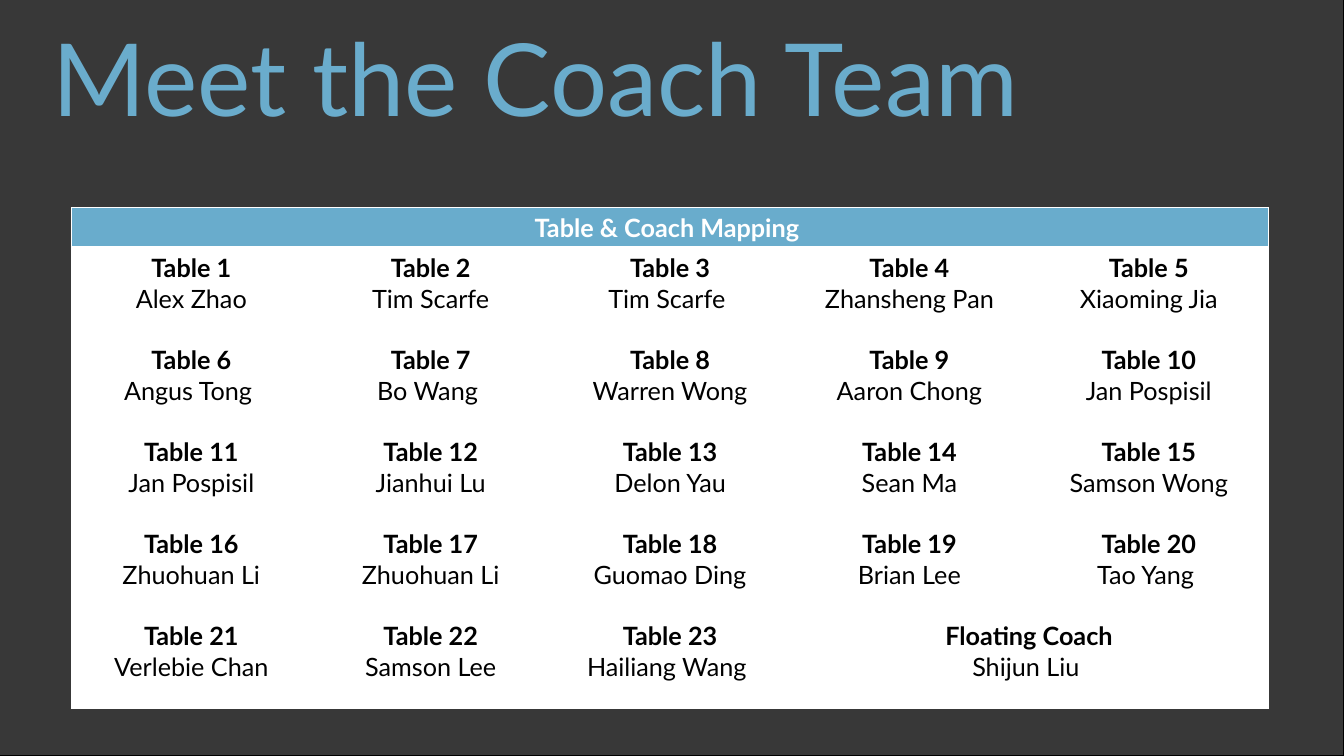
"""Build the coach team slide with its table-to-coach mapping."""
from typing import NamedTuple

from lxml.etree import SubElement
from pptx import Presentation
from pptx.dml.color import RGBColor
from pptx.enum.shapes import MSO_SHAPE
from pptx.enum.text import MSO_ANCHOR, MSO_AUTO_SIZE, PP_ALIGN
from pptx.oxml.ns import qn
from pptx.slide import Slide
from pptx.table import _Cell
from pptx.util import Inches, Pt

WIDTH, HEIGHT = Inches(13.33), Inches(7.5)
FONT = "Lato"
COLORS = {
    "backdrop": "000000",
    "title": "6AACCC",
    "header": "69ACCC",
    "body": "FFFFFF",
    "border": "FFFFFF",
    "header_text": "FFFFFF",
    "body_text": "000000",
}
COLUMNS = 5
HEADER_SHARE, ROW_SHARE = 5.33, 12.17


class Area(NamedTuple):
    """A rectangle in percent of the slide's width and height."""

    left: float
    top: float
    width: float
    height: float

    def lengths(self) -> tuple[int, int, int, int]:
        """Return left, top, width and height as slide lengths."""
        return (int(WIDTH * self.left / 100), int(HEIGHT * self.top / 100),
                int(WIDTH * self.width / 100), int(HEIGHT * self.height / 100))


class Assignment(NamedTuple):
    """A coach and the heading above the name."""

    heading: str
    coach: str
    span: int = 1


BACKDROP = Area(-0.22, -0.13, 100.22, 100.13)
TITLE = Area(3.15, 0.8, 94.67, 18.8)
MAPPING = Area(5.33, 27.47, 89.05, 66.18)
COACHES = [
    "Alex Zhao", "Tim Scarfe", "Tim Scarfe ", "Zhansheng Pan", "Xiaoming Jia",
    "Angus Tong ", "Bo Wang ", "Warren Wong", "Aaron Chong", "Jan Pospisil",
    "Jan Pospisil", "Jianhui Lu", "Delon Yau", "Sean Ma", "Samson Wong",
    "Zhuohuan Li", "Zhuohuan Li", "Guomao Ding", "Brian Lee", "Tao Yang ",
    "Verlebie Chan", "Samson Lee", "Hailiang Wang ",
]
ASSIGNMENTS = [Assignment(f"Table {number}", coach)
               for number, coach in enumerate(COACHES, 1)]
ASSIGNMENTS.append(Assignment("Floating Coach", "Shijun Liu ", span=2))


def color(name: str) -> RGBColor:
    """Look up a named colour."""
    return RGBColor.from_string(COLORS[name])


def add_backdrop(slide: Slide) -> None:
    """Lay a translucent dark rectangle behind the title."""
    backdrop = slide.shapes.add_shape(MSO_SHAPE.RECTANGLE, *BACKDROP.lengths())
    backdrop.shadow.inherit = False
    backdrop.fill.solid()
    backdrop.fill.fore_color.rgb = color("backdrop")
    shade = backdrop.element.spPr.find(qn("a:solidFill"))[0]
    SubElement(shade, qn("a:alpha"), val="78000")
    backdrop.line.color.rgb = color("backdrop")
    backdrop.line.width = Pt(1)
    slide.shapes.title.element.addprevious(backdrop.element)


def add_title(slide: Slide, wording: str) -> None:
    """Place and format the slide title."""
    title = slide.shapes.title
    title.left, title.top, title.width, title.height = TITLE.lengths()
    frame = title.text_frame
    frame.text = wording
    frame.margin_left = frame.margin_right = Inches(0.1)
    frame.margin_top = frame.margin_bottom = Inches(0.1)
    frame.vertical_anchor = MSO_ANCHOR.TOP
    frame.word_wrap = True
    frame.auto_size = MSO_AUTO_SIZE.SHAPE_TO_FIT_TEXT
    heading = frame.paragraphs[0]
    heading.alignment = PP_ALIGN.LEFT
    heading.font.name = FONT
    heading.font.size = Pt(72)
    heading.font.color.rgb = color("title")


def format_cell(cell: _Cell, fill: str, bottom: float = 1) -> None:
    """Give a cell its borders and fill."""
    properties = cell._tc.get_or_add_tcPr()
    for side, points in (("L", 1), ("R", 1), ("T", 1), ("B", bottom)):
        border = SubElement(properties, qn(f"a:ln{side}"), w=str(Pt(points)))
        paint = SubElement(border, qn("a:solidFill"))
        SubElement(paint, qn("a:srgbClr"), val=COLORS["border"])
    cell.fill.solid()
    cell.fill.fore_color.rgb = color(fill)


def write_cell(cell: _Cell, lines: list[str], text_color: str) -> None:
    """Write centred lines with the first one bold."""
    cell.text_frame.text = "\n".join(lines)
    for position, paragraph in enumerate(cell.text_frame.paragraphs):
        paragraph.alignment = PP_ALIGN.CENTER
        paragraph.font.name = FONT
        paragraph.font.size = Pt(18)
        paragraph.font.bold = position == 0
        paragraph.font.color.rgb = color(text_color)


def add_mapping(slide: Slide) -> None:
    """Add the table of coaches under one merged header."""
    rows = -(-len(ASSIGNMENTS) // COLUMNS)
    mapping = slide.shapes.add_table(rows + 1, COLUMNS, *MAPPING.lengths()).table
    mapping.horz_banding = False
    mapping.first_row = False
    for column in mapping.columns:
        column.width = int(WIDTH * MAPPING.width / 100 / COLUMNS)
    for index, row in enumerate(mapping.rows):
        row.height = int(HEIGHT * (ROW_SHARE if index else HEADER_SHARE) / 100)
        for cell in row.cells:
            if index:
                format_cell(cell, "body")
            else:
                format_cell(cell, "header", bottom=3)

    header = mapping.cell(0, 0)
    header.merge(mapping.cell(0, COLUMNS - 1))
    write_cell(header, ["Table & Coach Mapping "], "header_text")
    for index, assignment in enumerate(ASSIGNMENTS):
        row, column = divmod(index, COLUMNS)
        cell = mapping.cell(row + 1, column)
        if assignment.span > 1:
            cell.merge(mapping.cell(row + 1, column + assignment.span - 1))
        write_cell(cell, [assignment.heading, assignment.coach], "body_text")


def main() -> None:
    """Build and save the presentation."""
    deck = Presentation()
    deck.slide_width, deck.slide_height = WIDTH, HEIGHT
    slide = deck.slides.add_slide(deck.slide_layouts.get_by_name("Title Only"))
    add_backdrop(slide)
    add_title(slide, "Meet the Coach Team")
    add_mapping(slide)
    deck.save("out.pptx")


if __name__ == "__main__":
    main()
